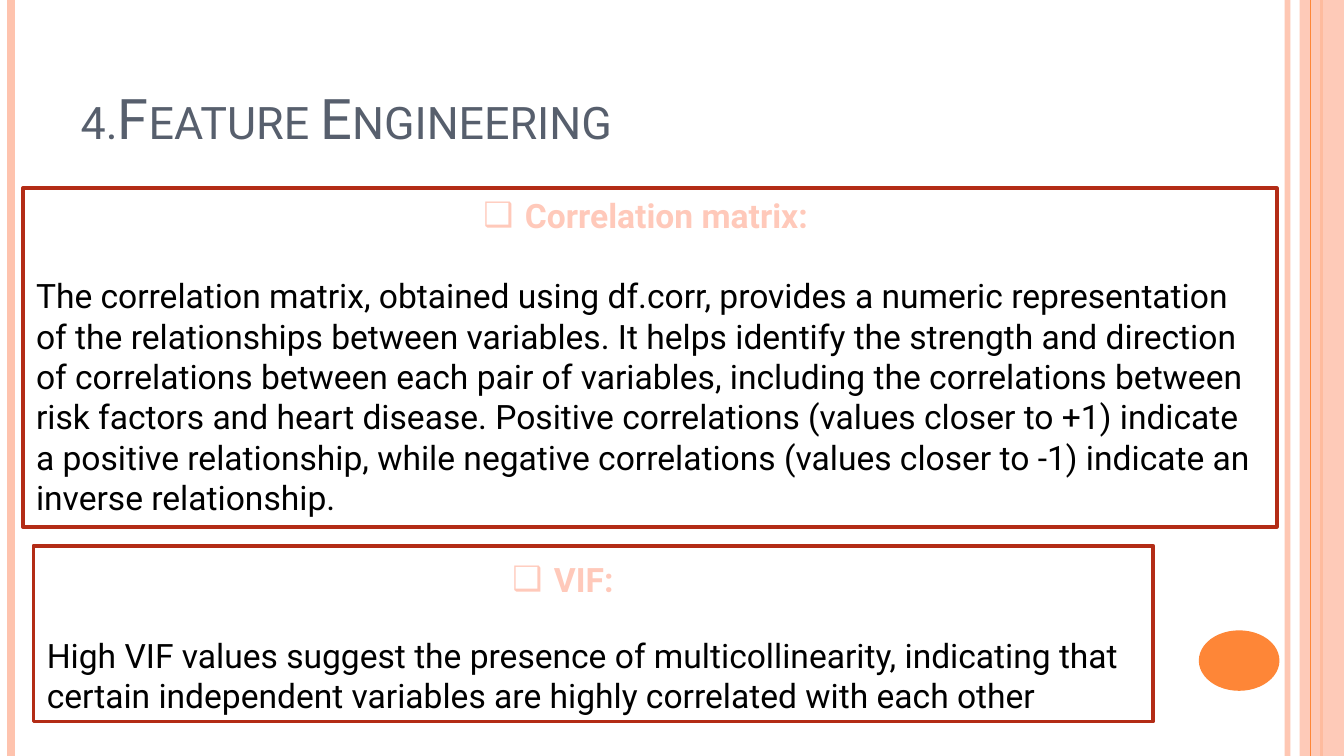
from pptx import Presentation
from pptx.dml.color import RGBColor
from pptx.enum.shapes import MSO_CONNECTOR, MSO_SHAPE
from pptx.enum.text import MSO_ANCHOR as Anchor, MSO_AUTO_SIZE, PP_ALIGN as Align
from pptx.oxml.ns import qn
from pptx.util import Inches, Pt
from lxml.etree import SubElement

PEACH = RGBColor(0xFE, 0xC3, 0xAE)
ORANGE = RGBColor(0xFE, 0x86, 0x37)
SLATE = RGBColor(0x57, 0x5F, 0x6D)
BRICK = RGBColor(0xB3, 0x2C, 0x16)
BLUSH = RGBColor(0xFF, 0xC9, 0xBA)
BLACK = RGBColor(0, 0, 0)
WHITE = RGBColor(0xFF, 0xFF, 0xFF)

WIDTH = 10
HEIGHT = WIDTH * 9 / 16
LINE_GAP = Pt(21.5)

TITLE = "4.Feature Engineering"
CORRELATION_HEADING = "Correlation matrix: "
CORRELATION_TEXT = (
    "The correlation matrix, obtained using df.corr, provides a numeric representation "
    "of the relationships between variables. It helps identify the strength and direction "
    "of correlations between each pair of variables, including the correlations between "
    "risk factors and heart disease. Positive correlations (values closer to +1) indicate "
    "a positive relationship, while negative correlations (values closer to -1) indicate "
    "an inverse relationship."
)
VIF_HEADING = "VIF: "
VIF_TEXT = (
    "High VIF values suggest the presence of multicollinearity, indicating that "
    "certain independent variables are highly correlated with each other"
)

OUTER_RULES = [(9.58, PEACH, 3, 93), (0.08, PEACH, 4.5, 100), (9.83, ORANGE, 1.5, 100)]
INNER_RULES = [(9.75, ORANGE, 0.75, 100)]
SIDE_BAND = (9.67, 0, 0.33, HEIGHT)
PAGE_DOT = (8.92, 4.69, 0.6, 0.45)
TITLE_AREA = (0.5, 0.23, 8.17, 0.94)
CORRELATION_BOX = (0.17, 1.4, 9.33, 2.52)
VIF_BOX = (0.25, 4.06, 8.33, 1.31)
VIF_HEADING_AREA = (2.46, 4.11, 3.52, 0.94)

TITLE_FONT = {"name": "Roboto", "size": Pt(30), "bold": False}
HEADING_FONT = {"name": "Roboto", "size": Pt(18), "bold": True}
BODY_FONT = {"name": "Roboto", "size": Pt(18), "bold": False}


def inches(area):
    return [Inches(length) for length in area]


def set_opacity(element, percent):
    if percent < 100:
        color = next(element.iter(qn("a:srgbClr")))
        SubElement(color, qn("a:alpha"), val=str(percent * 1000))


def add_rules(slide, rules):
    for x, color, weight, opacity in rules:
        rule = slide.shapes.add_connector(
            MSO_CONNECTOR.STRAIGHT, *inches((x, 0, x, HEIGHT)))
        rule.line.color.rgb = color
        rule.line.width = Pt(weight)
        properties = rule._element.spPr
        set_opacity(properties, opacity)
        SubElement(properties, qn("a:effectLst"))


def add_filled(slide, kind, area, fill, outline=None, opacity=100):
    shape = slide.shapes.add_shape(kind, *inches(area))
    shape.shadow.inherit = False
    shape.fill.solid()
    shape.fill.fore_color.rgb = fill
    set_opacity(shape._element.spPr, opacity)
    if outline is None:
        shape.line.fill.background()
    else:
        shape.line.color.rgb = outline
        shape.line.width = Pt(2)
    return shape


def write(paragraph, text, font, color, align=Align.LEFT):
    run = paragraph.add_run()
    run.text = text
    for attribute, value in font.items():
        setattr(run.font, attribute, value)
    run.font.color.rgb = color
    paragraph.alignment = align
    return run


def write_heading(paragraph, text):
    write(paragraph, text, HEADING_FONT, BLUSH, Align.CENTER)
    properties = paragraph._p.get_or_add_pPr()
    indent = Inches(0.31)
    properties.set("marL", str(indent))
    properties.set("indent", str(-indent))
    SubElement(properties, qn("a:buFont"), typeface="Roboto")
    SubElement(properties, qn("a:buChar"), char="❑")


def prepare(frame, anchor):
    frame.word_wrap = True
    frame.auto_size = MSO_AUTO_SIZE.NONE
    frame.vertical_anchor = anchor
    return frame


def main():
    deck = Presentation()
    deck.slide_width, deck.slide_height = inches((WIDTH, HEIGHT))
    slide = deck.slides.add_slide(deck.slide_layouts[5])

    add_rules(slide, OUTER_RULES)
    add_filled(slide, MSO_SHAPE.RECTANGLE, SIDE_BAND, PEACH, opacity=87)
    add_rules(slide, INNER_RULES)
    add_filled(slide, MSO_SHAPE.OVAL, PAGE_DOT, ORANGE)

    title = slide.shapes.title
    title.left, title.top, title.width, title.height = inches(TITLE_AREA)
    title_frame = prepare(title.text_frame, Anchor.BOTTOM)
    title_run = write(title_frame.paragraphs[0], TITLE, TITLE_FONT, SLATE)
    title_run.font._element.set("cap", "small")

    correlation = add_filled(slide, MSO_SHAPE.RECTANGLE, CORRELATION_BOX, WHITE, BRICK)
    correlation_frame = prepare(correlation.text_frame, Anchor.TOP)
    heading = correlation_frame.paragraphs[0]
    heading.space_after = LINE_GAP
    write_heading(heading, CORRELATION_HEADING)
    write(correlation_frame.add_paragraph(), CORRELATION_TEXT, BODY_FONT, BLACK)

    vif = add_filled(slide, MSO_SHAPE.RECTANGLE, VIF_BOX, WHITE, BRICK)
    vif_frame = prepare(vif.text_frame, Anchor.BOTTOM)
    write(vif_frame.paragraphs[0], VIF_TEXT, BODY_FONT, BLACK)

    vif_heading = slide.shapes.add_textbox(*inches(VIF_HEADING_AREA))
    write_heading(prepare(vif_heading.text_frame, Anchor.TOP).paragraphs[0], VIF_HEADING)

    deck.save("out.pptx")


if __name__ == "__main__":
    main()
